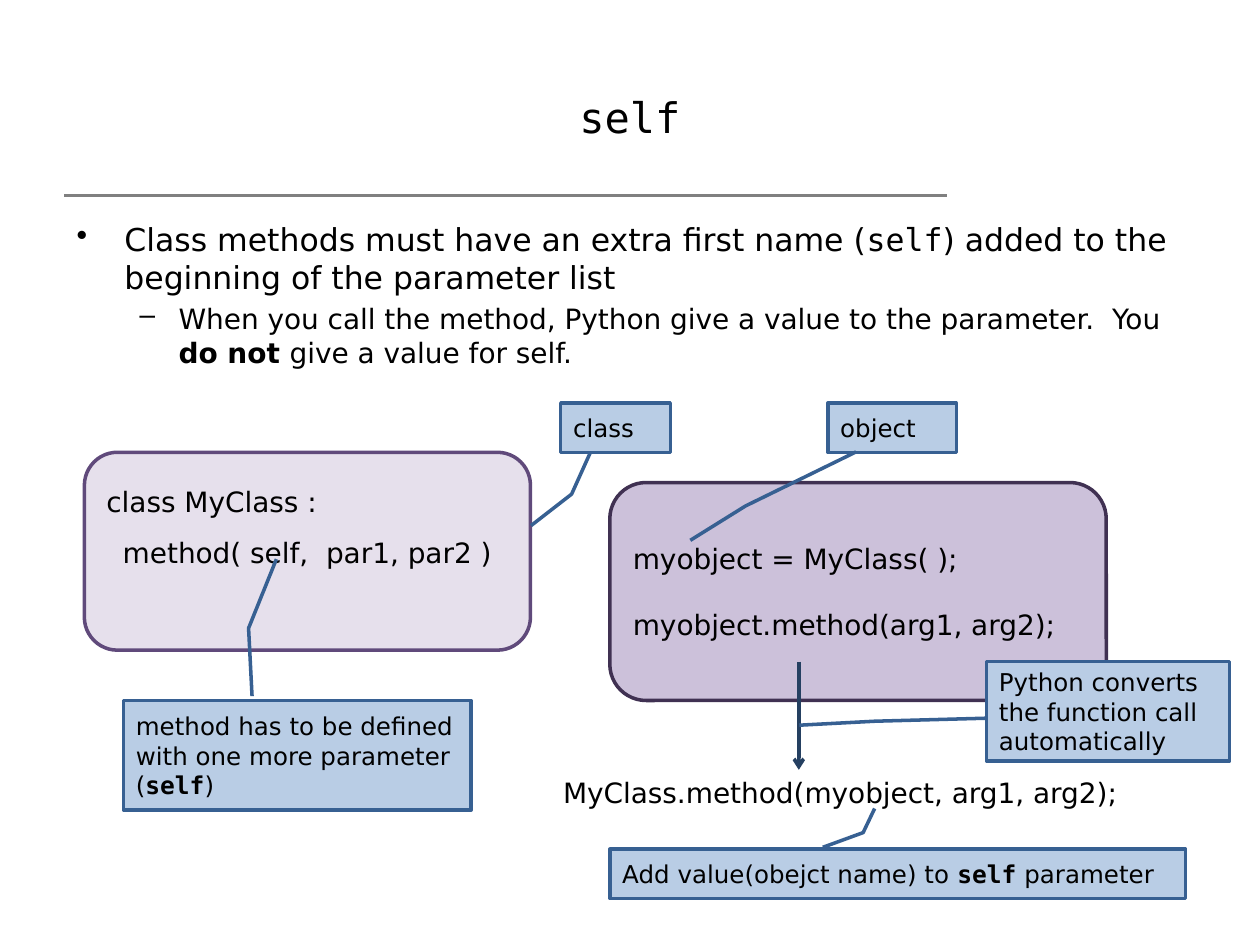
"""Build a slide on the self parameter of class methods."""
from dataclasses import dataclass
from typing import NamedTuple

import lxml.etree
import pptx
import pptx.dml.color
import pptx.enum.shapes
import pptx.enum.text
import pptx.oxml.ns
import pptx.util

Inches = pptx.util.Inches
Pt = pptx.util.Pt
Align = pptx.enum.text.PP_ALIGN
Anchor = pptx.enum.text.MSO_ANCHOR
Shape = pptx.enum.shapes.MSO_SHAPE


@dataclass(frozen=True)
class Theme:
    sans: str = "DejaVu Sans"
    mono: str = "DejaVu Sans Mono"
    ink: str = "000000"
    rule: str = "808080"
    arrow: str = "254061"
    note: str = "B9CDE5"
    edge: str = "376092"
    title: int = 24
    body: int = 18
    code: int = 16
    small: int = 14
    stroke: float = 2


class Span(NamedTuple):
    words: str
    mono: bool = False
    bold: bool = False


class Para(NamedTuple):
    spans: tuple[Span, ...]
    size: float
    align: Align = Align.LEFT
    before: float = 0
    lines: float = 1
    bullet: str = ""
    left: float = 0
    hang: float = 0
    level: int = 0


class Box(NamedTuple):
    left: float
    top: float
    width: float
    height: float


class Panel(NamedTuple):
    box: Box
    fill: str
    edge: str
    anchor: Anchor
    paras: tuple[Para, ...]


class Note(NamedTuple):
    box: Box
    bends: tuple[float, ...]
    spans: tuple[Span, ...]


THEME = Theme()
CODE = THEME.code
SELF = Span("self", mono=True, bold=True)

TITLE = Para((Span("self", mono=True),), THEME.title, Align.CENTER)
BODY = (
    Para((Span("Class methods must have an extra first name ("), Span("self", mono=True),
          Span(") added to the beginning of the parameter list")),
         THEME.body, before=3.6, bullet="•", left=0.38, hang=0.38),
    Para((Span("When you call the method, Python give a value to the parameter.  You "),
          Span("do not ", bold=True), Span("give a value for self.")),
         CODE, before=3.2, bullet="–", left=0.81, hang=0.31, level=1),
)
PANELS = (
    Panel(Box(0.67, 3.59, 3.54, 1.57), "E6E0EC", "604A7B", Anchor.TOP, (
        Para((Span("class MyClass :"),), CODE, lines=1.5),
        Para((Span("method( self,  par1, par2 )"),), CODE, Align.CENTER, lines=1.5))),
    Panel(Box(4.84, 3.83, 3.94, 1.73), "CCC1DA", "403152", Anchor.MIDDLE, (
        Para((Span("myobject = MyClass( );"),), CODE),
        Para((Span("myobject.method(arg1, arg2);"),), CODE, before=18.6))),
)
RESULT = Para((Span("MyClass.method(myobject, arg1, arg2);"),), CODE)
NOTES = (
    Note(Box(4.45, 3.2, 0.87, 0.39), (1.01, 0.27, 1.85, 0.1, 2.49, -0.27), (Span("class"),)),
    Note(Box(6.57, 3.2, 1.02, 0.39), (0.99, 0.22, 2.09, -0.64, 2.79, -1.07), (Span("object"),)),
    Note(Box(7.83, 5.25, 1.93, 0.79), (0.57, 0, 0.6, -0.46, 0.64, -0.77),
         (Span("Python converts the function call automatically"),)),
    Note(Box(4.84, 6.74, 4.57, 0.39), (-0.04, 0.37, -0.34, 0.44, -0.83, 0.46),
         (Span("Add value(obejct name) to "), SELF, Span(" parameter"))),
    Note(Box(0.98, 5.56, 2.76, 0.87), (-0.04, 0.37, -0.66, 0.36, -1.29, 0.44),
         (Span("method has to be defined with one more parameter ("), SELF, Span(")"))),
)


def tint(code: str) -> pptx.dml.color.RGBColor:
    """Turn a hex code into a colour."""
    return pptx.dml.color.RGBColor.from_string(code)


def place(box: Box) -> list[pptx.util.Length]:
    """Give a box as lengths."""
    return [Inches(side) for side in box]


def add_tag(root, name: str, **attrs: str) -> None:
    """Append one drawing tag."""
    lxml.etree.SubElement(root, pptx.oxml.ns.qn(name), attrs)


def write(frame, paras: tuple[Para, ...], anchor: Anchor, wrap: bool = True) -> None:
    """Fill a text frame with styled paragraphs."""
    frame.word_wrap = wrap
    frame.vertical_anchor = anchor
    frame.text = "\n" * (len(paras) - 1)
    for line, para in zip(frame.paragraphs, paras):
        line.alignment = para.align
        line.level = para.level
        line.line_spacing = para.lines
        line.space_before = Pt(para.before)
        if para.bullet:
            props = line._p.get_or_add_pPr()
            props.set("marL", str(Inches(para.left)))
            props.set("indent", str(-Inches(para.hang)))
            add_tag(props, "a:buChar", char=para.bullet)
        for span in para.spans:
            run = line.add_run()
            run.text = span.words
            run.font.name = THEME.mono if span.mono else THEME.sans
            run.font.size = Pt(para.size)
            run.font.bold = span.bold
            run.font.color.rgb = tint(THEME.ink)


def add_text(slide, box: Box, paras: tuple[Para, ...], anchor: Anchor = Anchor.TOP,
             wrap: bool = True) -> None:
    """Add a plain text box."""
    write(slide.shapes.add_textbox(*place(box)).text_frame, paras, anchor, wrap)


def add_block(slide, kind: Shape, panel: Panel):
    """Add a filled shape with text."""
    shape = slide.shapes.add_shape(kind, *place(panel.box))
    shape.shadow.inherit = False
    shape.fill.solid()
    shape.fill.fore_color.rgb = tint(panel.fill)
    shape.line.color.rgb = tint(panel.edge)
    shape.line.width = Pt(THEME.stroke)
    write(shape.text_frame, panel.paras, panel.anchor)
    return shape


def add_note(slide, note: Note) -> None:
    """Add a callout with a bent leader."""
    para = Para(note.spans, THEME.small)
    panel = Panel(note.box, THEME.note, THEME.edge, Anchor.MIDDLE, (para,))
    shape = add_block(slide, Shape.LINE_CALLOUT_2, panel)
    for index, bend in enumerate(note.bends):
        shape.adjustments[index] = bend


def add_line(slide, start: tuple[float, float], end: tuple[float, float],
             code: str, width: float, arrow: bool = False) -> None:
    """Add a straight line, with an arrowhead if asked."""
    kind = pptx.enum.shapes.MSO_CONNECTOR.STRAIGHT
    line = slide.shapes.add_connector(kind, *map(Inches, start + end))
    line.line.color.rgb = tint(code)
    line.line.width = Pt(width)
    if arrow:
        add_tag(line.line._get_or_add_ln(), "a:tailEnd", type="arrow")
    add_tag(line._element.spPr, "a:effectLst")


def main() -> None:
    """Draw the slide and save it."""
    deck = pptx.Presentation()
    deck.slide_width, deck.slide_height = Inches(10), Inches(7.5)
    slide = deck.slides.add_slide(deck.slide_layouts[6])
    add_line(slide, (0.51, 1.55), (7.52, 1.55), THEME.rule, 1.75)
    add_text(slide, Box(0.5, 0.3, 9, 1.25), (TITLE,), Anchor.MIDDLE)
    add_text(slide, Box(0.51, 1.7, 9, 4.95), BODY)
    for panel in PANELS:
        add_block(slide, Shape.ROUNDED_RECTANGLE, panel)
    add_line(slide, (6.34, 5.25), (6.34, 6.11), THEME.arrow, THEME.stroke, arrow=True)
    add_text(slide, Box(4.37, 6.11, 4.75, 0.37), (RESULT,), wrap=False)
    for note in NOTES:
        add_note(slide, note)
    deck.save("out.pptx")


if __name__ == "__main__":
    main()
